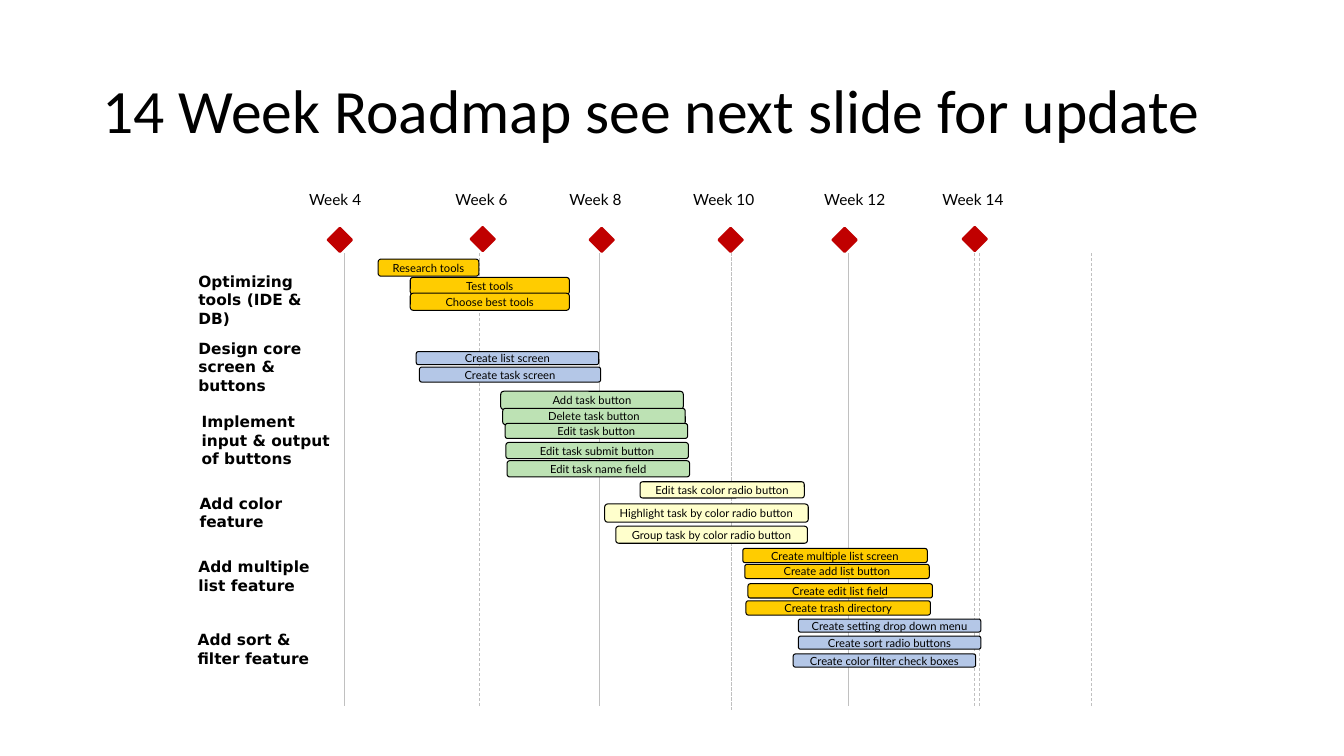
from pptx import Presentation
from pptx.dml.color import RGBColor as Rgb
from pptx.enum.dml import MSO_LINE as Dash
from pptx.enum.shapes import MSO_CONNECTOR as Link, MSO_SHAPE as Kind
from pptx.enum.text import MSO_ANCHOR as Anchor, PP_ALIGN as Align
from pptx.oxml.ns import qn
from pptx.util import Cm, Pt
from lxml import etree

COLORS = {"ink": "000000", "paper": "FFFFFF", "grid": "C0C0C0", "mark": "C00000",
          "gold": "FFCC00", "blue": "B4C7E7", "green": "BDE2B4", "cream": "FFFFCC"}

TITLE = "14 Week Roadmap see next slide for update"

# Week label, label left, diamond left, diamond top (cm)
WEEKS = [
    ("Week 4", 7.54, 8.26, 5.74),
    ("Week 6", 11.23, 11.86, 5.72),
    ("Week 8", 14.1, 14.86, 5.74),
    ("Week 10", 17.22, 18.11, 5.74),
    ("Week 12", 20.52, 20.98, 5.74),
    ("Week 14", 23.5, 24.26, 5.72),
]

# Grid lines: x, top, bottom, dashed
TOP, END = 6.38, 17.78
GRID = [
    (8.69, TOP, END, False), (12.07, TOP, END, True), (15.11, TOP, END, False),
    (18.42, TOP, END, True), (18.42, 6.48, 17.91, True), (21.39, TOP, END, False),
    (24.56, TOP, END, True), (27.51, TOP, END, True), (24.69, TOP, END, True),
]

# Group label, its box, bar color, bars as (text, left, top, width, height)
GROUPS = [
    ("Optimizing tools (IDE & DB)", (4.62, 6.38, 3.61, 2.34), "gold", [
        ("Research tools", 9.53, 6.53, 2.54, 0.43),
        ("Test tools", 10.34, 6.99, 4.01, 0.43),
        ("Choose best tools", 10.34, 7.39, 4.01, 0.43)]),
    ("Design core screen & buttons", (4.62, 8.51, 3.61, 1.47), "blue", [
        ("Create list screen", 10.49, 8.86, 4.6, 0.33),
        ("Create task screen", 10.57, 9.25, 4.57, 0.38)]),
    ("Implement input & output of buttons", (4.7, 10.13, 4.14, 1.91), "green", [
        ("Add task button", 12.62, 9.86, 4.6, 0.46),
        ("Delete task button", 12.67, 10.29, 4.6, 0.41),
        ("Edit task button", 12.73, 10.67, 4.6, 0.38),
        ("Edit task submit button", 12.75, 11.15, 4.6, 0.41),
        ("Edit task name field", 12.78, 11.61, 4.6, 0.41)]),
    ("Add color feature", (4.65, 11.96, 4.14, 1.91), "cream", [
        ("Edit task color radio button", 16.13, 12.14, 4.14, 0.41),
        ("Highlight task by color radio button", 15.24, 12.7, 5.13, 0.46),
        ("Group task by color radio button", 15.52, 13.26, 4.83, 0.43)]),
    ("Add multiple list feature", (4.62, 13.56, 4.14, 1.91), "gold", [
        ("Create multiple list screen", 18.72, 13.82, 4.65, 0.36),
        ("Create add list button", 18.77, 14.22, 4.65, 0.36),
        ("Create edit list field", 18.85, 14.71, 4.65, 0.36),
        ("Create trash directory", 18.8, 15.14, 4.65, 0.36)]),
    ("Add sort & filter feature", (4.6, 15.39, 4.14, 1.91), "blue", [
        ("Create setting drop down menu", 20.12, 15.6, 4.6, 0.33),
        ("Create sort radio buttons", 20.12, 16.03, 4.6, 0.33),
        ("Create color filter check boxes", 19.99, 16.48, 4.6, 0.33)]),
]

deck = Presentation()
deck.slide_width, deck.slide_height = Cm(33.87), Cm(19.05)
slide = deck.slides.add_slide(deck.slide_layouts[6])
shapes = slide.shapes


def tint(name):
    return Rgb.from_string(COLORS[name])


def write(shape, text, size, font="Lato", bold=False, align=Align.LEFT,
          anchor=Anchor.MIDDLE, side=0.25, edge=0, space=1.0):
    frame = shape.text_frame
    frame.word_wrap = True
    frame.vertical_anchor = anchor
    frame.margin_left = frame.margin_right = Cm(side)
    frame.margin_top = frame.margin_bottom = Cm(edge)
    para = frame.paragraphs[0]
    para.alignment, para.line_spacing = align, space
    run = para.add_run()
    run.text = text
    run.font.name, run.font.size, run.font.bold = font, Pt(size), bold
    run.font.color.rgb = tint("ink")


def label(text, box, size, **form):
    write(shapes.add_textbox(*map(Cm, box)), text, size, **form)


def block(kind, box, fill, edge, width):
    shape = shapes.add_shape(kind, *map(Cm, box))
    shape.shadow.inherit = False
    shape.fill.solid()
    shape.fill.fore_color.rgb = tint(fill)
    shape.line.color.rgb = tint(edge)
    shape.line.width = Pt(width)
    return shape


# Background and title
slide.background.fill.solid()
slide.background.fill.fore_color.rgb = tint("paper")
label(TITLE, (2.33, 1.01, 29.21, 3.68), 44, font="Calibri", edge=0.13, space=0.9)

# Grid lines
for x, top, end, dashed in GRID:
    line = shapes.add_connector(Link.STRAIGHT, Cm(x), Cm(top), Cm(x), Cm(end))
    line.line.color.rgb = tint("grid")
    line.line.width = Pt(0.5)
    if dashed:
        line.line.dash_style = Dash.DASH
    etree.SubElement(line._element.spPr, qn("a:effectLst"))

# Week labels and milestones
for text, left, x, y in WEEKS:
    label(text, (left, 4.65, 2.97, 0.74), 11, anchor=Anchor.TOP, edge=0.13)
    block(Kind.DIAMOND, (x, y, 0.61, 0.61), "mark", "mark", 1.5)

# Groups and their task bars
for name, area, color, bars in GROUPS:
    label(name, area, 11, font="DejaVu Sans", bold=True, side=0.38)
    for text, *box in bars:
        bar = block(Kind.ROUNDED_RECTANGLE, box, color, "ink", 0.75)
        write(bar, text, 8, align=Align.CENTER)

deck.save("out.pptx")
